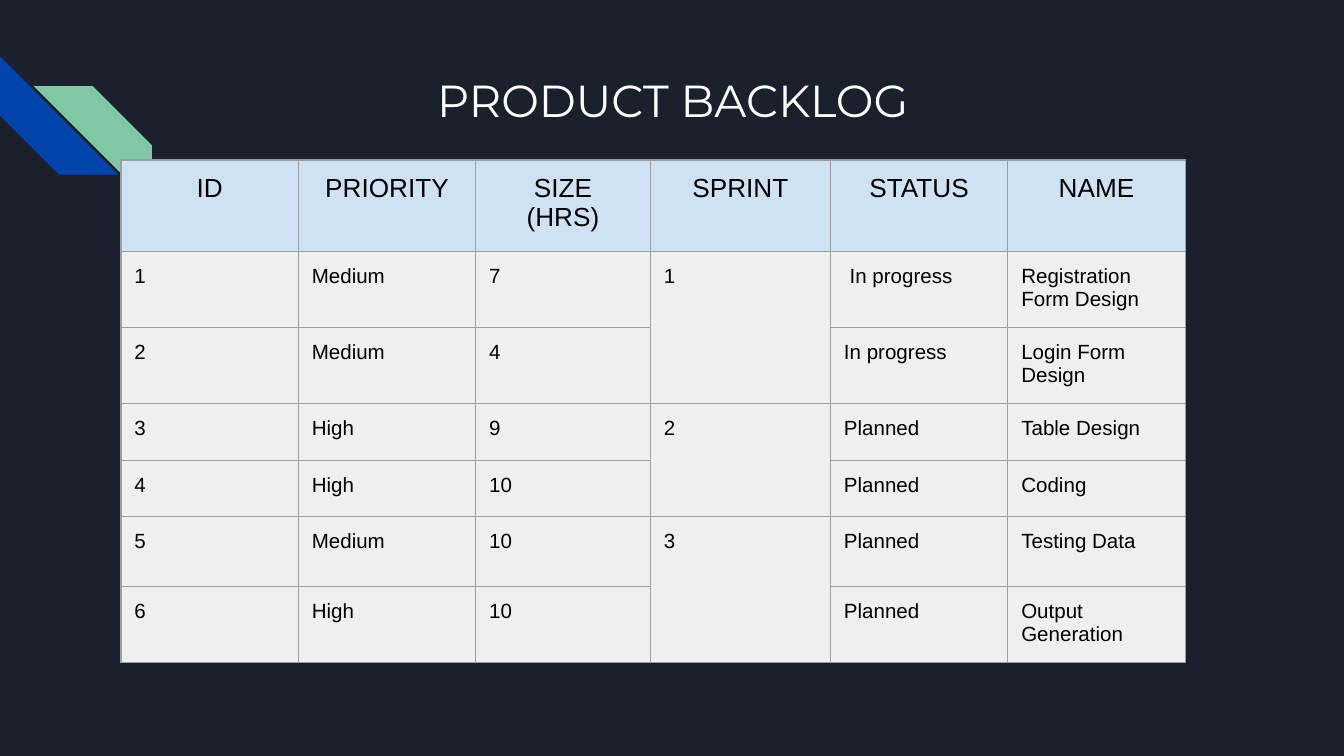
from lxml.etree import SubElement
from pptx import Presentation
from pptx.dml.color import RGBColor
from pptx.enum.shapes import MSO_SHAPE
from pptx.enum.text import MSO_ANCHOR, PP_ALIGN
from pptx.oxml.ns import qn
from pptx.util import Inches, Pt

UNIT = Inches(0.1)
PADDING = UNIT
COLORS = {
    "night": "1B212C",
    "blue": "0145AC",
    "green": "82C7A5",
    "white": "FFFFFF",
    "black": "000000",
    "header": "CFE2F3",
    "body": "EFEFEF",
    "border": "9E9E9E",
}
COLUMN_UNITS = [13.2, 13.2, 13, 13.4, 13.2, 13.2]
ROW_UNITS = [6.8, 4.2, 4.2, 4.2, 4.2, 5.2, 4.2]
SPRINT_COLUMN = 3
ROWS_PER_SPRINT = 2
BACKLOG = [
    ["ID", "PRIORITY", "SIZE\n(HRS)", "SPRINT", "STATUS", "NAME"],
    ["1", "Medium", "7", "1", " In progress", "Registration Form Design"],
    ["2", "Medium", "4", "", "In progress", "Login Form Design"],
    ["3", "High", "9", "2", "Planned", "Table Design"],
    ["4", "High", "10", "", "Planned", "Coding"],
    ["5", "Medium", "10", "3", "Planned", "Testing Data"],
    ["6", "High", "10", "", "Planned", "Output Generation"],
]


def units(*counts):
    """Convert counts of grid units to lengths."""
    return [round(count * UNIT) for count in counts]


def paint(fill, color):
    """Give a fill one solid named colour."""
    fill.solid()
    fill.fore_color.rgb = RGBColor.from_string(COLORS[color])


def write_text(frame, text, font, size, color, align):
    """Write one paragraph for each line of the text."""
    for index, line in enumerate(text.split("\n")):
        para = frame.add_paragraph() if index else frame.paragraphs[0]
        para.alignment = align
        span = para.add_run()
        span.text = line
        span.font.name = font
        span.font.size = Pt(size)
        span.font.color.rgb = RGBColor.from_string(COLORS[color])


def add_stripe(page, left, top, color, rotation=0, mirrored=False):
    """Add a diagonal corner stripe."""
    stripe = page.shapes.add_shape(MSO_SHAPE.DIAGONAL_STRIPE, *units(left, top, 8.8, 8.8))
    stripe.adjustments[0] = 0.5
    stripe.rotation = rotation
    if mirrored:
        stripe.element.spPr.xfrm.set("flipH", "1")
    stripe.shadow.inherit = False
    stripe.line.fill.background()
    paint(stripe.fill, color)


def add_title(page, text):
    """Add the centred slide title."""
    frame = page.shapes.add_textbox(*units(9, 4.4, 82.1, 9.7)).text_frame
    frame.word_wrap = True
    frame.vertical_anchor = MSO_ANCHOR.TOP
    frame.margin_left = frame.margin_right = PADDING
    frame.margin_top = frame.margin_bottom = PADDING
    write_text(frame, text, "Montserrat", 24, "white", PP_ALIGN.CENTER)


def add_borders(cell):
    """Draw a thin line on all four sides of a cell."""
    properties = cell._tc.get_or_add_tcPr()
    for side in ("lnL", "lnR", "lnT", "lnB"):
        line = SubElement(properties, qn(f"a:{side}"), w=str(Pt(0.75)))
        fill = SubElement(line, qn("a:solidFill"))
        SubElement(fill, qn("a:srgbClr"), val=COLORS["border"])


def fill_cell(cell, text, is_header):
    """Style a table cell and write its text."""
    cell.margin_left = cell.margin_right = PADDING
    cell.margin_top = cell.margin_bottom = PADDING
    add_borders(cell)
    paint(cell.fill, "header" if is_header else "body")
    size, align = (14, PP_ALIGN.CENTER) if is_header else (11, PP_ALIGN.LEFT)
    if text:
        write_text(cell.text_frame, text, "Arial", size, "black", align)


def add_backlog(page):
    """Add the backlog table with one merged cell for each sprint."""
    bounds = units(9, 11.9, sum(COLUMN_UNITS), sum(ROW_UNITS))
    table = page.shapes.add_table(len(ROW_UNITS), len(COLUMN_UNITS), *bounds).table
    table.first_row = table.horz_banding = False
    for column, width in zip(table.columns, units(*COLUMN_UNITS)):
        column.width = width
    for row, height in zip(table.rows, units(*ROW_UNITS)):
        row.height = height
    for row_index, texts in enumerate(BACKLOG):
        for column_index, text in enumerate(texts):
            fill_cell(table.cell(row_index, column_index), text, row_index == 0)
    for first in range(1, len(BACKLOG), ROWS_PER_SPRINT):
        last = table.cell(first + ROWS_PER_SPRINT - 1, SPRINT_COLUMN)
        table.cell(first, SPRINT_COLUMN).merge(last)


def main():
    """Build and save the deck."""
    deck = Presentation()
    deck.slide_width, deck.slide_height = units(100, 56.25)
    page = deck.slides.add_slide(deck.slide_layouts[6])
    paint(page.background.fill, "night")
    add_stripe(page, 0, 4.2, "blue", rotation=270)
    add_stripe(page, 2.5, 6.4, "green", mirrored=True)
    add_title(page, "PRODUCT BACKLOG")
    add_backlog(page)
    deck.save("out.pptx")


if __name__ == "__main__":
    main()
